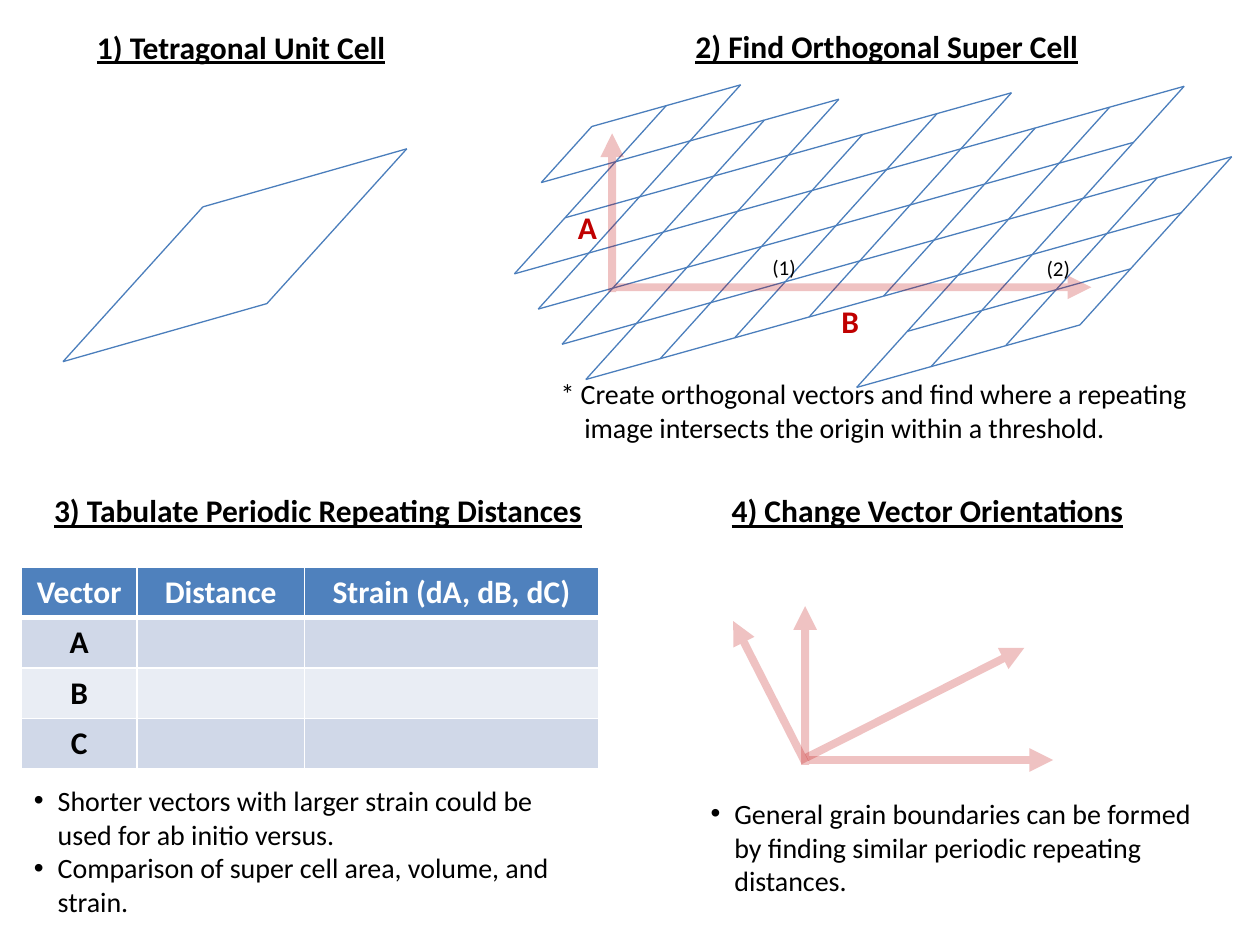
"""Build the slide on orthogonal super cells and periodic repeating distances."""
from dataclasses import dataclass
from typing import Any

from lxml import etree
from pptx import Presentation
from pptx import util as u
from pptx.dml import color
from pptx.enum import shapes, text
from pptx.oxml import ns

BLACK, WHITE, RED, BLUE = "000000", "FFFFFF", "C00000", "4B7EBC"
HEADING = {"size": u.Pt(18), "bold": True, "underline": True}
VECTOR = {"size": u.Pt(18), "bold": True, "underline": False}
BODY = {"size": u.Pt(16), "bold": False, "underline": False}
MARK = {"size": u.Pt(12), "bold": False, "underline": False}
HANGING = 0.48


@dataclass
class Caption:
    lines: list[str]
    left: float
    top: float
    width: float
    height: float
    style: dict[str, Any]
    ink: str = BLACK
    hanging: float = 0
    placeholder: int | None = None


@dataclass
class Lattice:
    origin: tuple[float, float]
    along: tuple[float, float]
    up: tuple[float, float]
    bands: dict[int, tuple[int, int]]

    def node(self, i: int, j: int) -> tuple[float, float]:
        x, y = (o + i * a + j * b for o, a, b in zip(self.origin, self.along, self.up))
        return x, y


@dataclass
class Arrow:
    start: tuple[float, float]
    end: tuple[float, float]


def paint(fill: Any, hex_color: str) -> None:
    fill.solid()
    fill.fore_color.rgb = color.RGBColor.from_string(hex_color)


def apply(target: Any, values: dict[str, Any]) -> None:
    for name, value in values.items():
        setattr(target, name, value)


def ink_font(font: Any, style: dict[str, Any], hex_color: str) -> None:
    apply(font, {"name": "Calibri", **style})
    paint(font.fill, hex_color)


def draw_line(group: Any, start: tuple[float, float], end: tuple[float, float],
              hex_color: str, points: float) -> Any:
    line = group.shapes.add_connector(
        shapes.MSO_CONNECTOR.STRAIGHT, *(u.Cm(v) for v in (*start, *end)))
    line.line.width = u.Pt(points)
    paint(line.line.fill, hex_color)
    etree.SubElement(line._element.spPr, ns.qn("a:effectLst"))
    return line


def draw_arrow(group: Any, arrow: Arrow) -> None:
    outline = draw_line(group, arrow.start, arrow.end, RED, 4.5)._element.spPr.find(ns.qn("a:ln"))
    shade = outline.find(".//" + ns.qn("a:srgbClr"))
    etree.SubElement(shade, ns.qn("a:alpha"), val="23000")
    etree.SubElement(outline, ns.qn("a:tailEnd"), type="triangle")


def draw_lattice(group: Any, lattice: Lattice) -> None:
    bands = lattice.bands
    for j in range(min(bands), max(bands) + 2):
        sides = [bands[k] for k in (j - 1, j) if k in bands]
        first, last = min(s[0] for s in sides), max(s[1] for s in sides)
        edges = [(i, j, i + 1, j) for i in range(first, last)]
        if j in bands:
            edges += [(i, j, i, j + 1) for i in range(bands[j][0], bands[j][1] + 1)]
        for i0, j0, i1, j1 in edges:
            draw_line(group, lattice.node(i0, j0), lattice.node(i1, j1), BLUE, 0.75)


def write_caption(slide: Any, caption: Caption) -> None:
    frame = [u.Cm(v) for v in (caption.left, caption.top, caption.width, caption.height)]
    if caption.placeholder is None:
        box = slide.shapes.add_textbox(*frame)
    else:
        box = slide.placeholders[caption.placeholder]
        apply(box, dict(zip(("left", "top", "width", "height"), frame)))
    body = box.text_frame
    body.text = "\n".join(caption.lines)
    apply(body, {"word_wrap": True, "vertical_anchor": text.MSO_ANCHOR.TOP,
                 "auto_size": text.MSO_AUTO_SIZE.SHAPE_TO_FIT_TEXT})
    for paragraph in body.paragraphs:
        apply(paragraph, {"alignment": text.PP_ALIGN.LEFT, "space_before": u.Pt(0)})
        if caption.hanging:
            indent = u.Cm(caption.hanging)
            properties = paragraph._p.get_or_add_pPr()
            properties.set("marL", str(int(indent)))
            properties.set("indent", str(-int(indent)))
        ink_font(paragraph.runs[0].font, caption.style, caption.ink)


def border_cell(cell: Any, widths: dict[str, float]) -> None:
    properties = cell._tc.get_or_add_tcPr()
    for place, (side, points) in enumerate(widths.items()):
        edge = etree.Element(ns.qn(f"a:ln{side}"), w=str(int(u.Pt(points))))
        fill = etree.SubElement(edge, ns.qn("a:solidFill"))
        etree.SubElement(fill, ns.qn("a:srgbClr"), val=WHITE)
        properties.insert(place, edge)


def draw_distances(slide: Any) -> None:
    rows = [["Vector", "Distance", "Strain (dA, dB, dC)"]]
    rows += [[vector, "", ""] for vector in "ABC"]
    fills = ["4F81BD", "D0D8E8", "E9EDF4", "D0D8E8"]
    widths = [2.33, 3.38, 5.92]
    table = slide.shapes.add_table(
        len(rows), len(widths), u.Cm(0.43), u.Cm(11.43), u.Cm(sum(widths)), u.Cm(4.06)).table
    for column, width in zip(table.columns, widths):
        column.width = u.Cm(width)
    for r, (entries, fill) in enumerate(zip(rows, fills)):
        for c, entry in enumerate(entries):
            cell = table.cell(r, c)
            paint(cell.fill, fill)
            border_cell(cell, {"L": 1, "R": 1, "T": 3 if r == 1 else 1, "B": 3 if r == 0 else 1})
            paragraph = cell.text_frame.paragraphs[0]
            paragraph.alignment = text.PP_ALIGN.CENTER
            if entry:
                paragraph.text = entry
            for run in paragraph.runs:
                ink_font(run.font, VECTOR, BLACK if r else WHITE)


UNIT_CELL = Lattice((1.27, 7.29), (4.11, -1.17), (2.82, -3.12), {0: (0, 1)})
SUPER_CELL = Lattice((11.81, 7.65), (1.5, -0.42), (1.02, -1.13), {
    -2: (5, 8), -1: (5, 8), 0: (0, 8), 1: (-1, 6),
    2: (-2, 6), 3: (-3, 3), 4: (-3, 0), 5: (-4, -2)})
SUPER_VECTORS = [Arrow((12.42, 5.79), (22, 5.79)), Arrow((12.34, 5.89), (12.34, 2.69))]
ORIENTATIONS = [
    Arrow((16.31, 15.32), (21.23, 15.32)), Arrow((16.23, 15.42), (16.23, 12.22)),
    Arrow((16.26, 15.27), (20.65, 13.06)), Arrow((16.23, 15.37), (14.78, 12.52))]
CAPTIONS = [
    Caption(["1) Tetragonal Unit Cell"], 1.7, 0.43, 6.35, 1.02, HEADING, placeholder=0),
    Caption(["2) Find Orthogonal Super Cell"], 13.77, 0.43, 8.99, 1.02, HEADING),
    Caption(["3) Tabulate Periodic Repeating Distances"], 0.84, 9.78, 11.28, 1.02, HEADING),
    Caption(["4) Change Vector Orientations"], 14.5, 9.78, 8.5, 1.02, HEADING),
    Caption(["A"], 11.4, 4.06, 0.84, 1.02, VECTOR, RED),
    Caption(["B"], 16.71, 5.97, 0.84, 1.02, VECTOR, RED),
    Caption(["(1)"], 15.32, 5, 1.9, 0.76, MARK),
    Caption(["(2)"], 20.85, 5.03, 1.9, 0.76, MARK),
    Caption(["* Create orthogonal vectors and find where a repeating image intersects "
             "the origin within a threshold."], 11.05, 7.47, 14.55, 1.63, BODY, hanging=HANGING),
    Caption(["Shorter vectors with larger strain could be used for ab initio versus.",
             "Comparison of super cell area, volume, and strain."],
            0.43, 15.67, 11.63, 3, BODY, hanging=HANGING, placeholder=1),
    Caption(["General grain boundaries can be formed by finding similar periodic repeating "
             "distances."], 14.07, 15.93, 10.8, 2.31, BODY, hanging=HANGING, placeholder=2),
]


def main() -> None:
    deck = Presentation()
    apply(deck, {"slide_width": u.Cm(25.4), "slide_height": u.Cm(19.05)})
    slide = deck.slides.add_slide(deck.slide_layouts.get_by_name("Two Content"))
    draw_lattice(slide.shapes.add_group_shape(), UNIT_CELL)
    super_cell = slide.shapes.add_group_shape()
    draw_lattice(super_cell, SUPER_CELL)
    orientations = slide.shapes.add_group_shape()
    for group, arrows in ((super_cell, SUPER_VECTORS), (orientations, ORIENTATIONS)):
        for arrow in arrows:
            draw_arrow(group, arrow)
    draw_distances(slide)
    for caption in CAPTIONS:
        write_caption(slide, caption)
    deck.save("out.pptx")


main()
